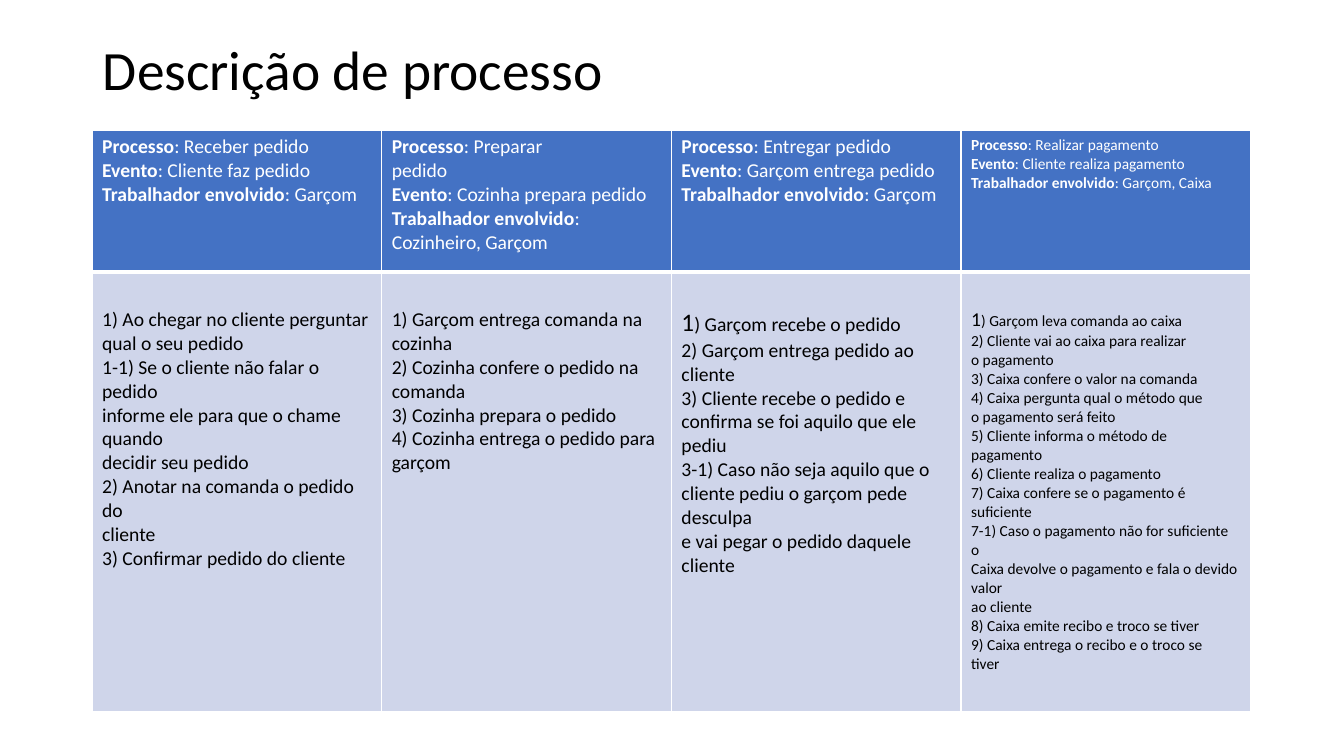
from lxml.etree import SubElement
from pptx import Presentation
from pptx.dml.color import RGBColor
from pptx.enum.text import MSO_ANCHOR, MSO_AUTO_SIZE, PP_ALIGN
from pptx.oxml.ns import qn
from pptx.util import Cm, Pt

BLACK = RGBColor(0x00, 0x00, 0x00)
WHITE = RGBColor(0xFF, 0xFF, 0xFF)
HEADER_BLUE = RGBColor(0x44, 0x72, 0xC4)
BODY_BLUE = RGBColor(0xCF, 0xD5, 0xEA)
FONT = "Calibri"

TITLE = "Descrição de processo"
LABELS = ("Processo", "Evento", "Trabalhador envolvido")

# "\v" marks a line break inside a paragraph; lead_size is for the first digit.
PROCESSES = [
    {
        "size": 14, "lead_size": 14,
        "header": ("Receber pedido", "Cliente faz pedido", "Garçom"),
        "steps": [
            "1) Ao chegar no cliente perguntar",
            "qual o seu pedido",
            "1-1) Se o cliente não falar o pedido",
            "informe ele para que o chame quando",
            "decidir seu pedido",
            "2) Anotar na comanda o pedido\vdo",
            "cliente",
            "3) Confirmar pedido do cliente",
        ],
    },
    {
        "size": 14, "lead_size": 14,
        "header": ("Preparar\vpedido", "Cozinha prepara pedido",
                   "Cozinheiro, Garçom"),
        "steps": [
            "1) Garçom entrega comanda na cozinha",
            "2) Cozinha confere o pedido na comanda",
            "3) Cozinha prepara o pedido",
            "4) Cozinha entrega o pedido para garçom",
        ],
    },
    {
        "size": 14, "lead_size": 18,
        "header": ("Entregar pedido", "Garçom entrega pedido", "Garçom"),
        "steps": [
            "1) Garçom recebe o pedido",
            "2) Garçom entrega pedido ao cliente",
            "3) Cliente recebe o pedido e confirma se foi aquilo que ele pediu",
            "3-1) Caso não seja aquilo que o cliente pediu o garçom pede desculpa",
            "e vai pegar o pedido daquele cliente",
        ],
    },
    {
        "size": 11, "lead_size": 14,
        "header": ("Realizar pagamento", "Cliente realiza pagamento",
                   "Garçom, Caixa"),
        "steps": [
            "1) Garçom leva comanda ao caixa",
            "2) Cliente vai ao caixa para realizar",
            "o pagamento",
            "3) Caixa confere o valor na comanda",
            "4) Caixa pergunta qual o método que",
            "o pagamento será feito",
            "5) Cliente informa o método de",
            "pagamento",
            "6) Cliente realiza o pagamento",
            "7) Caixa confere se o pagamento é suficiente",
            "7-1) Caso o pagamento não for suficiente\vo",
            "Caixa devolve o pagamento e fala o devido valor",
            "ao cliente",
            "8) Caixa emite recibo e troco se tiver",
            "9) Caixa entrega o recibo e o troco se\vtiver",
        ],
    },
]

COLUMN_WIDTH = Cm(7.3)
ROW_HEIGHTS = (Cm(3.58), Cm(11.07))
STEPS_TOP_MARGIN = Cm(0.9)


def style(font, size, color, bold=False):
    """Set face, size, colour and weight of a font."""
    font.name, font.size, font.bold = FONT, Pt(size), bold
    font.color.rgb = color


def add_text(paragraph, text, size, color, bold=False):
    """Append text to a paragraph, with a line break at each "\\v"."""
    for index, part in enumerate(text.split("\v")):
        if index:
            paragraph.add_line_break()
        run = paragraph.add_run()
        run.text = part
        style(run.font, size, color, bold)


def fill_cell(cell, fill, color, lines):
    """Fill a cell; each line is a list of (text, size, bold) pieces."""
    cell.fill.solid()
    cell.fill.fore_color.rgb = fill
    frame = cell.text_frame
    for index, pieces in enumerate(lines):
        paragraph = frame.add_paragraph() if index else frame.paragraphs[0]
        for text, size, bold in pieces:
            add_text(paragraph, text, size, color, bold)


def set_borders(cell, **widths):
    """Give a cell white borders; keys L, R, T, B hold widths in points."""
    properties = cell._tc.get_or_add_tcPr()
    for index, (side, width) in enumerate(widths.items()):
        line = SubElement(properties, qn(f"a:ln{side}"), w=str(Pt(width)))
        color = SubElement(SubElement(line, qn("a:solidFill")), qn("a:srgbClr"))
        color.set("val", str(WHITE))
        properties.insert(index, line)


def add_title(slide):
    """Place and format the slide title."""
    title = slide.shapes.title
    title.left, title.top = Cm(2.34), Cm(1.02)
    title.width, title.height = Cm(29.16), Cm(1.6)
    frame = title.text_frame
    frame.text = TITLE
    frame.word_wrap = True
    frame.auto_size = MSO_AUTO_SIZE.NONE
    frame.vertical_anchor = MSO_ANCHOR.MIDDLE
    paragraph = frame.paragraphs[0]
    paragraph.alignment = PP_ALIGN.LEFT
    paragraph.line_spacing = 0.9
    style(paragraph.runs[0].font, 39.6, BLACK)


def add_process_table(slide):
    """Add one column per process: header above, steps below."""
    count = len(PROCESSES)
    table = slide.shapes.add_table(
        len(ROW_HEIGHTS), count, Cm(2.32), Cm(3.28),
        COLUMN_WIDTH * count, sum(ROW_HEIGHTS)).table
    for row, height in zip(table.rows, ROW_HEIGHTS):
        row.height = height
    for index, process in enumerate(PROCESSES):
        table.columns[index].width = COLUMN_WIDTH
        size = process["size"]

        header = table.cell(0, index)
        fill_cell(header, HEADER_BLUE, WHITE, [
            [(label, size, True), (f": {value}", size, False)]
            for label, value in zip(LABELS, process["header"])])
        set_borders(header, L=1, R=1, T=1, B=3)

        first, *others = process["steps"]
        if process["lead_size"] == size:
            first_line = [(first, size, False)]
        else:
            first_line = [(first[0], process["lead_size"], False),
                          (first[1:], size, False)]
        steps = table.cell(1, index)
        steps.margin_top = STEPS_TOP_MARGIN
        fill_cell(steps, BODY_BLUE, BLACK,
                  [first_line] + [[(step, size, False)] for step in others])
        set_borders(steps, L=1, R=1, T=3, B=1)


presentation = Presentation()
presentation.slide_width, presentation.slide_height = Cm(33.87), Cm(19.05)
process_slide = presentation.slides.add_slide(presentation.slide_layouts[5])
add_title(process_slide)
add_process_table(process_slide)
presentation.save("out.pptx")
